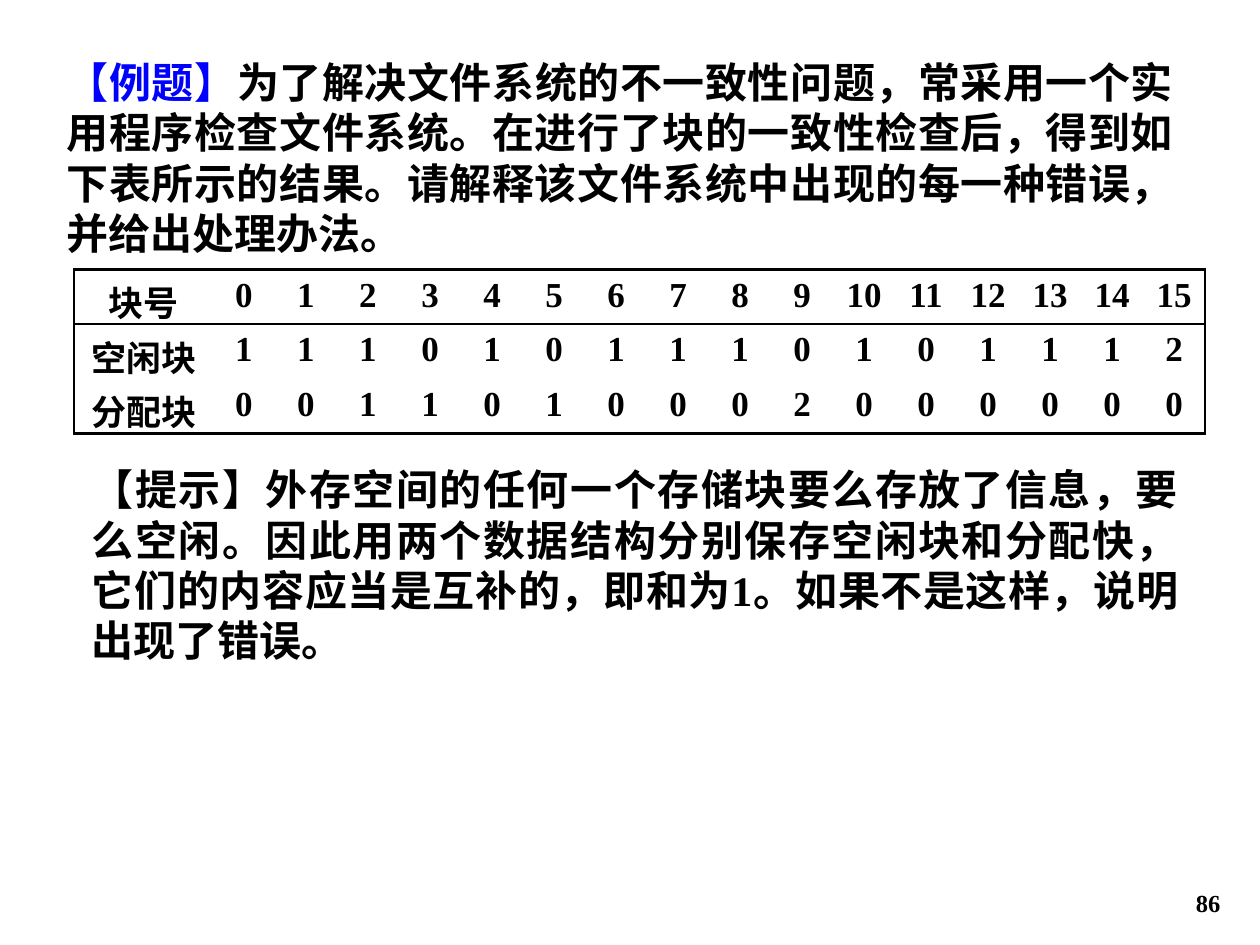
from lxml import etree
from pptx import Presentation
from pptx.dml.color import RGBColor
from pptx.enum import lang, text
from pptx.oxml import ns
from pptx.util import Pt

HUES = {"ink": "000000", "mark": "0000FF"}
FACE = "Times New Roman"
ALIGN = text.PP_ALIGN
TASK = ("为了解决文件系统的不一致性问题，常采用一个实用程序检查文件系统。"
        "在进行了块的一致性检查后，得到如下表所示的结果。"
        "请解释该文件系统中出现的每一种错误，并给出处理办法。")
HINT = ("【提示】外存空间的任何一个存储块要么存放了信息，要么空闲。"
        "因此用两个数据结构分别保存空闲块和分配快，它们的内容应当是互补的，"
        "即和为1。如果不是这样，说明出现了错误。")
BLOCKS = [
    ("块号", range(16)),
    ("空闲块", [1, 1, 1, 0, 1, 0, 1, 1, 1, 0, 1, 0, 1, 1, 1, 2]),
    ("分配块", [0, 0, 1, 1, 0, 1, 0, 0, 0, 2, 0, 0, 0, 0, 0, 0]),
]


def write(para, words, size=24, hue="ink", align=ALIGN.JUSTIFY):
    """Add one bold run to a paragraph."""
    para.alignment = align
    run = para.add_run()
    run.text = words
    font = run.font
    font.name, font.size, font.bold = FACE, Pt(size), True
    font.color.rgb = RGBColor.from_string(HUES[hue])
    font.language_id = lang.MSO_LANGUAGE_ID.SIMPLIFIED_CHINESE


def add_box(slide, left, top, width, height, anchor=text.MSO_ANCHOR.TOP):
    """Add a wrapping text box and return its first paragraph."""
    box = slide.shapes.add_textbox(Pt(left), Pt(top), Pt(width), Pt(height))
    frame = box.text_frame
    frame.word_wrap = True
    frame.vertical_anchor = anchor
    return frame.paragraphs[0]


def rule(cell, widths):
    """Draw the cell's left, right, top and bottom borders; 0 means none."""
    props = cell._tc.get_or_add_tcPr()
    for i, (side, width) in enumerate(zip("LRTB", widths)):
        line = etree.Element(ns.qn("a:ln" + side), w=str(Pt(width)))
        if width:
            fill = etree.SubElement(line, ns.qn("a:solidFill"))
            etree.SubElement(fill, ns.qn("a:srgbClr"), val=HUES["ink"])
        else:
            etree.SubElement(line, ns.qn("a:noFill"))
        props.insert(i, line)


def add_grid(slide, left, top, first, step, high):
    """Add the block table: a frame and a line under the head row."""
    rows, cols = len(BLOCKS), len(BLOCKS[0][1]) + 1
    width = first + step * (cols - 1)
    grid = slide.shapes.add_table(
        rows, cols, Pt(left), Pt(top), Pt(width), Pt(high * rows)).table
    grid.first_row = grid.horz_banding = False
    for c, col in enumerate(grid.columns):
        col.width = Pt(step if c else first)
    for r, (label, marks) in enumerate(BLOCKS):
        grid.rows[r].height = Pt(high)
        for c, value in enumerate([label, *marks]):
            cell = grid.cell(r, c)
            cell.fill.background()
            rule(cell, (1.5 if c == 0 else 0,
                        1.5 if c == cols - 1 else 0,
                        (2, 1, 0)[r],
                        (1, 0, 2)[r]))
            write(cell.text_frame.paragraphs[0], str(value),
                  size=20, align=ALIGN.CENTER)


def main():
    deck = Presentation()
    deck.slide_width, deck.slide_height = Pt(720), Pt(540)
    slide = deck.slides.add_slide(deck.slide_layouts[6])

    # Page number
    page = add_box(slide, 554.4, 492, 150, 36, text.MSO_ANCHOR.BOTTOM)
    write(page, "86", size=14, align=ALIGN.RIGHT)

    # Question
    task = add_box(slide, 31, 28.8, 646.5, 122.4)
    write(task, "【例题】", hue="mark")
    write(task, TASK)

    # Block counts
    add_grid(slide, left=42.5, top=154, first=79.2, step=35.45, high=31.2)

    # Hint
    write(add_box(slide, 45.4, 261.4, 635, 122.4), HINT)

    deck.save("out.pptx")


if __name__ == "__main__":
    main()
